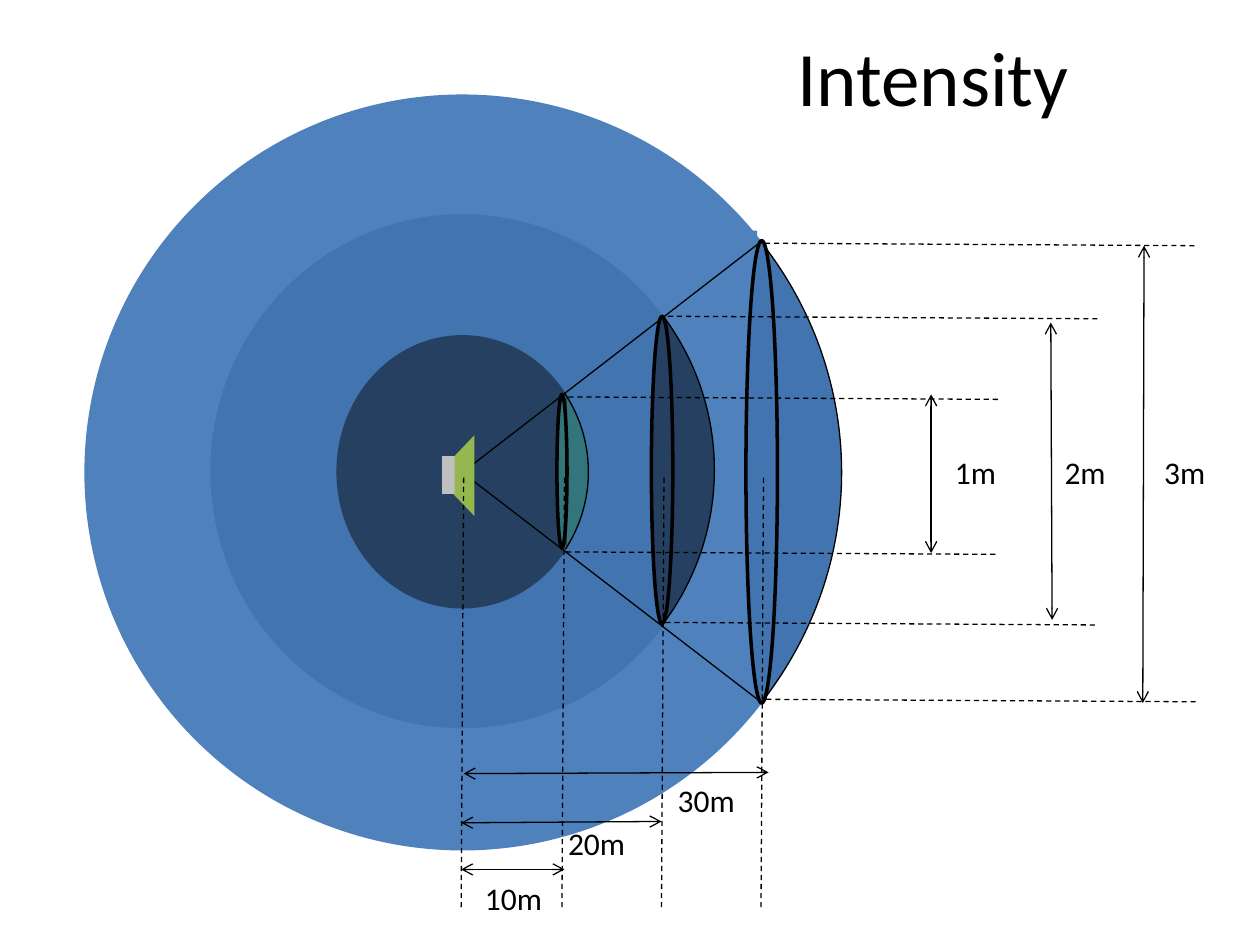
import pptx
import pptx.dml.color
import pptx.enum.dml
import pptx.enum.shapes
import pptx.enum.text
import pptx.oxml
import pptx.oxml.ns
import pptx.util

Inches = pptx.util.Inches
Pt = pptx.util.Pt
MSO = pptx.enum.shapes.MSO_SHAPE
COLORS = {
    name: pptx.dml.color.RGBColor.from_string(value)
    for name, value in {
        "outer": "4F81BD", "middle": "4274AF", "inner": "254061",
        "teal": "32757A", "horn": "95B74F", "box": "BFBFBF", "black": "000000",
    }.items()
}

prs = pptx.Presentation()
prs.slide_width, prs.slide_height = Inches(10), Inches(7.5)
s = prs.slides.add_slide(prs.slide_layouts[6])


def add_text(text, left, top, width, height, size):
    sp = s.shapes.add_textbox(Inches(left), Inches(top), Inches(width), Inches(height))
    tf = sp.text_frame
    tf.text = text
    font = tf.paragraphs[0].runs[0].font
    font.name, font.size = "Calibri", Pt(size)
    font.color.rgb = COLORS["black"]
    return tf


def add_line(x1, y1, x2, y2, dashed=False, arrows=False):
    sp = s.shapes.add_connector(
        pptx.enum.shapes.MSO_CONNECTOR.STRAIGHT,
        Inches(x1), Inches(y1), Inches(x2), Inches(y2))
    sp.line.color.rgb = COLORS["black"]
    sp.line.width = Pt(0.75)
    if dashed:
        sp.line.dash_style = pptx.enum.dml.MSO_LINE.DASH
    if arrows:
        ln = sp.line._get_or_add_ln()
        for end in ("a:headEnd", "a:tailEnd"):
            node = pptx.oxml.parse_xml(f'<{end} {pptx.oxml.ns.nsdecls("a")} type="arrow"/>')
            ln.append(node)
    sp._element.spPr.append(
        pptx.oxml.parse_xml(f'<a:effectLst {pptx.oxml.ns.nsdecls("a")}/>'))


# Title
tf = add_text("Intensity", 5.05, 0.1, 4.71, 1, 44)
tf.word_wrap = True
tf.vertical_anchor = pptx.enum.text.MSO_ANCHOR.MIDDLE
tf.paragraphs[0].alignment = pptx.enum.text.PP_ALIGN.CENTER

# Wave fronts and speaker, back to front:
# kind, left, top, width, height, fill, line width, rotation, adjustments
# Each arc fills its whole sector, so a plain rectangle hides all but the cap.
parts = [
    (MSO.OVAL, 0.67, 0.75, 6, 6, "outer", 0, 0, ()),
    (MSO.ARC, 0.51, 0.75, 6.17, 6, "middle", 0.75, 0, (194.226, 22.177)),
    (MSO.OVAL, 1.67, 1.7, 4, 4.08, "middle", 0, 0, ()),
    (MSO.RECTANGLE, 5.26, 1.83, 0.75, 3.77, "outer", 0, 0, ()),
    (MSO.OVAL, 5.92, 1.91, 0.25, 3.67, "middle", 2, 0, ()),
    (MSO.ARC, 1.67, 1.71, 4, 4.04, "inner", 0.75, 0, (193.311, 23.286)),
    (MSO.RECTANGLE, 4.42, 2.5, 0.83, 2.5, "middle", 0, 0, ()),
    (MSO.OVAL, 2.67, 2.66, 2, 2.17, "inner", 0, 0, ()),
    (MSO.ARC, 2.59, 2.66, 2.08, 2.17, "teal", 0.75, 0, (194.226, 21.255)),
    (MSO.OVAL, 5.17, 2.51, 0.17, 2.44, "inner", 2, 0, ()),
    (MSO.RECTANGLE, 3.17, 3.16, 1.33, 1.17, "inner", 0, 0, ()),
    "cone",
    (MSO.OVAL, 4.42, 3.13, 0.08, 1.22, "teal", 2, 0, ()),
    (MSO.TRAPEZOID, 3.36, 3.69, 0.64, 0.17, "horn", 0, 270, (1.045,)),
    (MSO.RECTANGLE, 3.41, 3.72, 0.3, 0.1, "box", 0, 270, ()),
]
for part in parts:
    if part == "cone":
        for y in (1.91, 5.58):
            add_line(3.67, 3.75, 6.05, y)
        continue
    kind, left, top, width, height, fill, line, rotation, adjustments = part
    sp = s.shapes.add_shape(kind, Inches(left), Inches(top), Inches(width), Inches(height))
    sp.shadow.inherit = False
    sp.rotation = rotation
    for i, value in enumerate(adjustments):
        sp.adjustments[i] = value
    sp.fill.solid()
    sp.fill.fore_color.rgb = COLORS[fill]
    if line:
        sp.line.color.rgb = COLORS["black"]
        sp.line.width = Pt(line)
    else:
        sp.line.fill.background()

# Dashed guides: down from each front, and right from each cap's ends
for x in (3.66, 4.46, 5.25, 6.04):
    add_line(x, 7.2, x + 0.02, 3.77, dashed=True)
for x, y in ((4.47, 4.38), (4.49, 3.15), (5.26, 4.94),
             (5.28, 2.51), (6.05, 1.93), (6.06, 5.55)):
    add_line(x + 3.43, y + 0.02, x, y, dashed=True)

# Dimension arrows
for ends in ((3.66, 6.9, 4.48, 6.9), (3.66, 6.53, 5.25, 6.52), (3.68, 6.14, 6.1, 6.13),
             (7.39, 3.13, 7.39, 4.39), (8.34, 2.56, 8.35, 4.92), (9.08, 1.95, 9.07, 5.58)):
    add_line(*ends, arrows=True)

# Dimension labels
for text, left, top, width in (
        ("10m", 3.75, 6.93, 0.69), ("20m", 4.41, 6.49, 0.69), ("30m", 5.28, 6.15, 0.69),
        ("1m", 7.48, 3.55, 0.55), ("2m", 8.35, 3.55, 0.55), ("3m", 9.14, 3.55, 0.55)):
    tf = add_text(text, left, top, width, 0.4, 18)
    tf.word_wrap = False
    tf.auto_size = pptx.enum.text.MSO_AUTO_SIZE.SHAPE_TO_FIT_TEXT

prs.save("out.pptx")
